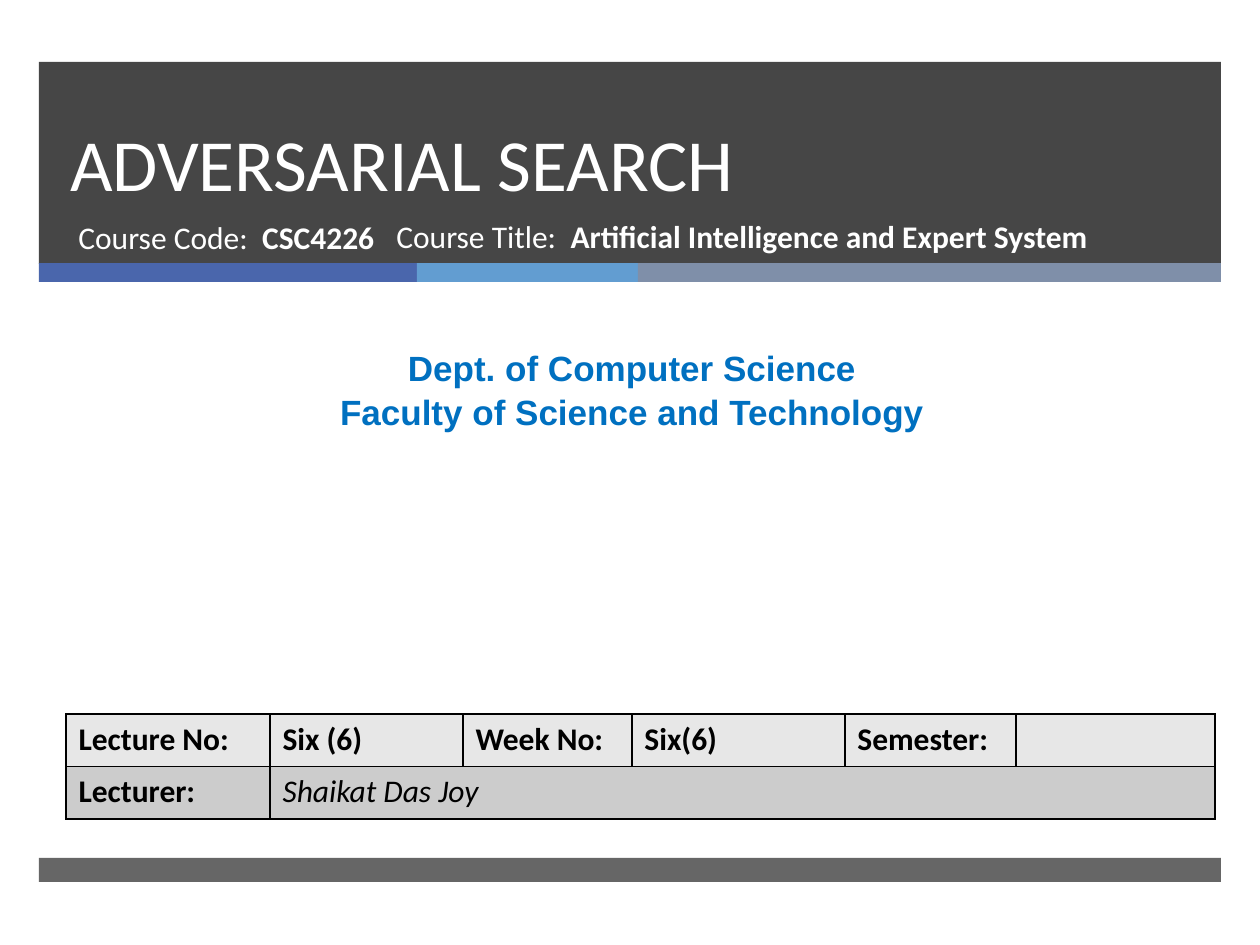
from lxml.etree import SubElement
from pptx import Presentation
from pptx.dml.color import RGBColor
from pptx.enum.shapes import MSO_SHAPE
from pptx.enum.text import MSO_ANCHOR, PP_ALIGN
from pptx.oxml.ns import qn
from pptx.util import Pt

PX = 914400 / 126

WHITE = RGBColor(0xFF, 0xFF, 0xFF)
BLACK = RGBColor(0x00, 0x00, 0x00)
CHARCOAL = RGBColor(0x26, 0x26, 0x26)
INDIGO = RGBColor(0x4A, 0x66, 0xAC)
SKY = RGBColor(0x62, 0x9D, 0xD1)
SLATE = RGBColor(0x7F, 0x8F, 0xA9)
DEPT_BLUE = RGBColor(0x00, 0x70, 0xC0)
LIGHT_ROW = RGBColor(0xE7, 0xE7, 0xE7)
DARK_ROW = RGBColor(0xCC, 0xCC, 0xCC)


def px(*lengths):
    return [round(length * PX) for length in lengths]


def style(font, size, color, name="Calibri", bold=False, italic=False):
    font.size, font.name = Pt(size), name
    font.bold, font.italic = bold, italic
    font.color.rgb = color


prs = Presentation()
prs.slide_width, prs.slide_height = px(1260, 945)
slide = prs.slides.add_slide(prs.slide_layouts[6])

# Header band, three-colour stripe and footer band
for left, top, width, height, color, opacity in [
    (39, 62, 1182, 202, CHARCOAL, 85),
    (39, 263, 378, 19, INDIGO, 100),
    (417, 263, 221, 19, SKY, 100),
    (638, 263, 583, 19, SLATE, 100),
    (39, 858, 1182, 24, CHARCOAL, 70),
]:
    band = slide.shapes.add_shape(MSO_SHAPE.RECTANGLE, *px(left, top, width, height))
    band.shadow.inherit = False
    band.line.fill.background()
    band.fill.solid()
    band.fill.fore_color.rgb = color
    if opacity < 100:
        srgb = band.fill._xPr.find(".//" + qn("a:srgbClr"))
        SubElement(srgb, qn("a:alpha")).set("val", str(opacity * 1000))

# Lecture title
title = slide.shapes.add_textbox(*px(58, 62, 1076, 150)).text_frame
title.word_wrap = True
title.vertical_anchor = MSO_ANCHOR.BOTTOM
title.text = "ADVERSARIAL SEARCH"
title.paragraphs[0].line_spacing = Pt(46)
style(title.paragraphs[0].runs[0].font, 42, WHITE)

# Course code and course title
for left, top, width, label, value in [
    (66, 212, 384, "Course Code:  ", "CSC4226"),
    (384, 211, 721, "Course Title:  ", "Artificial Intelligence and Expert System"),
]:
    course = slide.shapes.add_textbox(*px(left, top, width, 67)).text_frame
    course.word_wrap = True
    for text, bold in [(label, False), (value, True)]:
        run = course.paragraphs[0].add_run()
        run.text = text
        style(run.font, 18, WHITE, bold=bold)

# Department and faculty
department = slide.shapes.add_textbox(*px(10, 338, 1244, 97)).text_frame
department.word_wrap = True
department.text = "Dept. of Computer Science\nFaculty of Science and Technology"
for paragraph in department.paragraphs:
    paragraph.alignment = PP_ALIGN.CENTER
    paragraph.line_spacing = 1.05
    style(paragraph.runs[0].font, 20, DEPT_BLUE, "Arial", bold=True)

# Lecture details
details = [
    ["Lecture No:", "Six (6)", "Week No:", "Six(6)", "Semester:", ""],
    ["Lecturer:", "Shaikat Das Joy", "", "", "", ""],
]
column_widths = px(204, 193, 169, 213, 171, 199)
table = slide.shapes.add_table(2, 6, *px(66, 714, 1149, 105)).table
for column, width in zip(table.columns, column_widths):
    column.width = width
for r, (row_texts, row_fill) in enumerate(zip(details, [LIGHT_ROW, DARK_ROW])):
    for c, text in enumerate(row_texts):
        cell = table.cell(r, c)
        cell.text = text
        lecturer_name = (r, c) == (1, 1)
        for run in cell.text_frame.paragraphs[0].runs:
            style(run.font, 18, BLACK, bold=not lecturer_name, italic=lecturer_name)
        properties = cell._tc.get_or_add_tcPr()
        for side in ("a:lnL", "a:lnR", "a:lnT", "a:lnB"):
            border = SubElement(properties, qn(side), w=str(Pt(1)))
            border_fill = SubElement(border, qn("a:solidFill"))
            SubElement(border_fill, qn("a:srgbClr"), val=str(BLACK))
        cell.fill.solid()
        cell.fill.fore_color.rgb = row_fill
table.cell(1, 1).merge(table.cell(1, 5))

prs.save("out.pptx")
